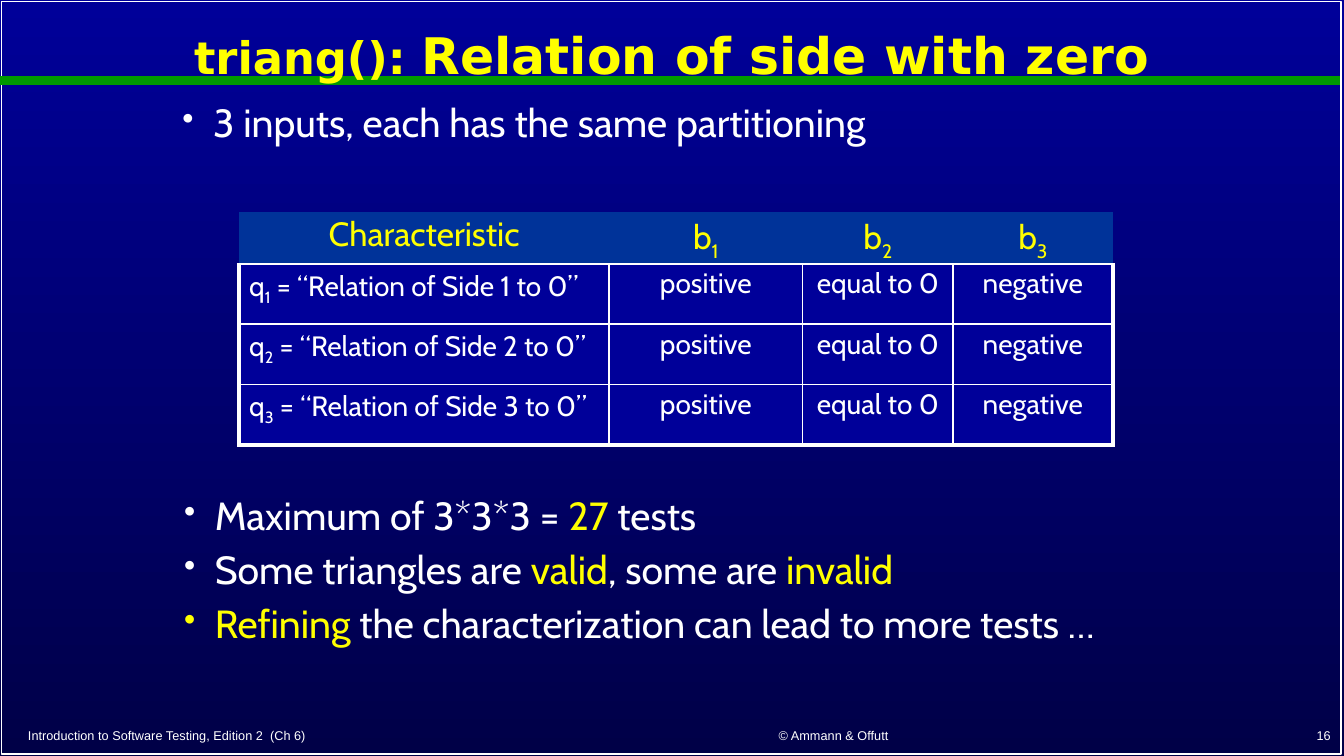
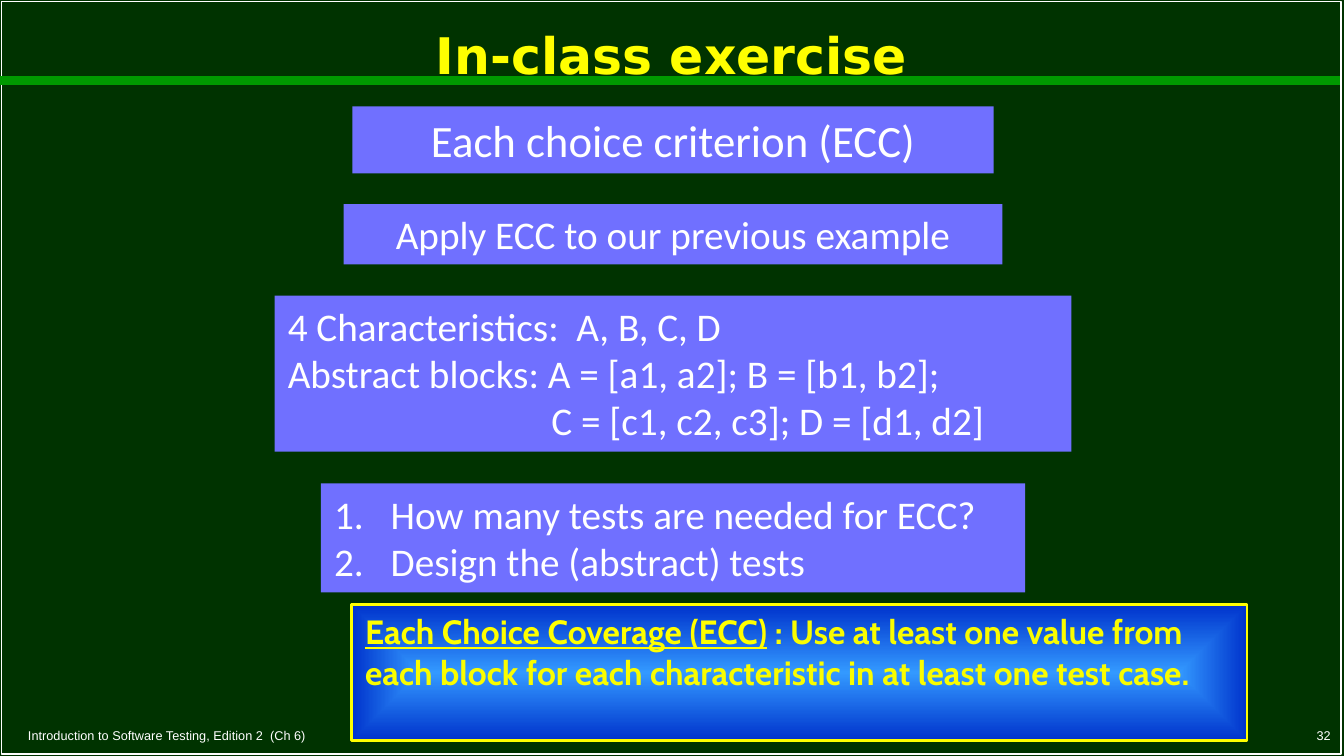
from dataclasses import dataclass, field
from typing import Any

from lxml import etree
from pptx import Presentation
from pptx import util as u
from pptx.dml import color as dml
from pptx.enum import shapes, text
from pptx.oxml import ns

COLORS = {
    "white": "FFFFFF",
    "yellow": "FFFF00",
    "bright_yellow": "FAFD00",
    "navy": "000099",
    "midnight": "000047",
    "forest": "003300",
    "rule": "009900",
    "header": "003399",
    "panel": "7070FF",
    "glow": "3399FF",
    "glow_edge": "0033CC",
}
LEFT, CENTER, RIGHT = text.PP_ALIGN.LEFT, text.PP_ALIGN.CENTER, text.PP_ALIGN.RIGHT
TOP, MIDDLE, BOTTOM = text.MSO_ANCHOR.TOP, text.MSO_ANCHOR.MIDDLE, text.MSO_ANCHOR.BOTTOM
PANEL_CENTER = 12.72


@dataclass
class Run:
    text: str
    color: str = ""
    size: float = 0
    underline: bool = False
    subscript: bool = False


@dataclass
class Style:
    font: str
    size: float
    color: str = "white"
    bold: bool = False
    align: Any = LEFT
    spacing: float = 1.0
    before: float = 0
    indent: float = 0
    bullet: dict[str, dict[str, str]] = field(default_factory=dict)


@dataclass
class Line:
    runs: list[Run]
    margin: float = 0


@dataclass
class Box:
    left: float
    top: float
    width: float
    height: float

    def lengths(self) -> list[u.Length]:
        return [u.Cm(value) for value in (self.left, self.top, self.width, self.height)]


@dataclass
class Panel:
    top: float
    width: float
    height: float
    style: Style
    lines: list[Line]


TITLE = Style("DejaVu Sans", 27, "yellow", True, CENTER, 0.9)
BULLETS = Style("Cabin", 21, spacing=0.9, before=6.3, indent=0.58,
                bullet={"buSzPct": {"val": "85000"}, "buChar": {"char": "•"}})
HEADER = Style("Cabin", 18, "yellow", align=CENTER, spacing=0.9)
QUESTION = Style("Cabin", 15, spacing=0.9)
BLOCK = Style("Cabin", 15, align=CENTER, spacing=0.9)
HEADING = Style("Calibri", 24, align=CENTER)
CENTERED = Style("Calibri", 21, align=CENTER)
PLAIN = Style("Calibri", 21)
NUMBERED = Style("Calibri", 21, indent=1.07,
                 bullet={"buAutoNum": {"type": "arabicPeriod"}})
DEFINITION = Style("Cabin", 18, "yellow", True)


def rgb(name: str) -> dml.RGBColor:
    return dml.RGBColor.from_string(COLORS[name])


def apply_format(target: Any, values: dict[str, Any]) -> None:
    for name, value in values.items():
        setattr(target, name, value)


def add_element(parent: Any, tag: str, **attributes: str) -> Any:
    return etree.SubElement(parent, ns.qn(f"a:{tag}"), attributes)


def plain(*texts: str) -> list[Line]:
    return [Line([Run(item)]) for item in texts]


def write_text(frame: Any, lines: list[Line], style: Style) -> None:
    for index, line in enumerate(lines):
        paragraph = frame.add_paragraph() if index else frame.paragraphs[0]
        apply_format(paragraph, {"alignment": style.align, "line_spacing": style.spacing,
                                 "space_before": u.Pt(style.before if index else 0)})
        properties = paragraph._p.get_or_add_pPr()
        margin = line.margin or style.indent
        properties.set("marL", str(u.Cm(margin)))
        properties.set("indent", str(-u.Cm(style.indent)))
        for tag, attributes in style.bullet.items():
            add_element(properties, tag, **attributes)
        for item in line.runs:
            run = paragraph.add_run()
            run.text = item.text
            apply_format(run.font, {"name": style.font, "size": u.Pt(item.size or style.size),
                                    "bold": style.bold, "underline": item.underline})
            run.font.color.rgb = rgb(item.color or style.color)
            if item.subscript:
                run.font._element.set("baseline", "-25000")


def add_text(slide: Any, box: Box, lines: list[Line], style: Style, anchor: Any = TOP) -> None:
    frame = slide.shapes.add_textbox(*box.lengths()).text_frame
    apply_format(frame, {"word_wrap": True, "vertical_anchor": anchor})
    write_text(frame, lines, style)


def add_rectangle(slide: Any, box: Box, fill: str = "", line: str = "", width: float = 1) -> Any:
    shape = slide.shapes.add_shape(shapes.MSO_SHAPE.RECTANGLE, *box.lengths())
    shape.shadow.inherit = False
    apply_format(shape.text_frame, {"word_wrap": True, "vertical_anchor": TOP})
    if fill:
        shape.fill.solid()
        shape.fill.fore_color.rgb = rgb(fill)
    else:
        shape.fill.background()
    if line:
        shape.line.color.rgb = rgb(line)
        shape.line.width = u.Pt(width)
    else:
        shape.line.fill.background()
    return shape


def set_gradient(fill: Any, start: str, end: str) -> None:
    fill.gradient()
    fill.gradient_angle = 270
    for stop, name, position in zip(fill.gradient_stops, (start, end), (0, 1)):
        stop.color.rgb = rgb(name)
        stop.position = position


def add_footer(slide: Any, box: Box, words: str, align: Any) -> None:
    add_text(slide, box, plain(words), Style("Arial", 6.8, align=align), BOTTOM)


def add_frame(slide: Any, title: list[Run], number: int) -> None:
    add_rectangle(slide, Box(0.03, 0.03, 25.32, 14.22), line="white")
    rule = slide.shapes.add_connector(shapes.MSO_CONNECTOR.STRAIGHT,
                                      0, u.Cm(1.52), u.Cm(25.32), u.Cm(1.52))
    rule.line.color.rgb = rgb("rule")
    rule.line.width = u.Pt(4.5)
    add_element(rule._element.spPr, "effectLst")
    add_text(slide, Box(0.03, 0.2, 25.32, 1.8), [Line(title)], TITLE, MIDDLE)
    add_footer(slide, Box(0.28, 13.67, 10.95, 0.51),
               "Introduction to Software Testing, Edition 2  (Ch 6)", LEFT)
    add_footer(slide, Box(20.12, 13.64, 5.28, 0.53), str(number), RIGHT)


def set_borders(cell: Any, widths: dict[str, float]) -> None:
    properties = cell._tc.get_or_add_tcPr()
    for index, (side, width) in enumerate(widths.items()):
        border = add_element(properties, f"ln{side}", w=str(u.Pt(width)))
        if width:
            add_element(add_element(border, "solidFill"), "srgbClr", val=COLORS["white"])
        else:
            add_element(border, "noFill")
        properties.insert(index, border)


def fill_cell(cell: Any, runs: list[Run], style: Style, fill: str) -> None:
    cell.fill.solid()
    cell.fill.fore_color.rgb = rgb(fill)
    apply_format(cell, {"margin_left": u.Cm(0.19), "margin_right": u.Cm(0.19),
                        "margin_top": u.Cm(0.1), "margin_bottom": u.Cm(0.1)})
    write_text(cell.text_frame, [Line(runs)], style)


def add_partition_table(slide: Any) -> None:
    blocks = ["positive", "equal to 0", "negative"]
    widths = [6.99, 3.66, 2.84, 3.02]
    heights = [0.94] + [1.14] * 3
    box = Box(4.52, 4.01, sum(widths), sum(heights))
    table = slide.shapes.add_table(len(heights), len(widths), *box.lengths()).table
    apply_format(table, {"first_row": False, "horz_banding": False})
    for column, width in zip(table.columns, widths):
        column.width = u.Cm(width)
    for row, height in zip(table.rows, heights):
        row.height = u.Cm(height)
    last = len(blocks)
    for row in range(last + 1):
        for column in range(last + 1):
            cell = table.cell(row, column)
            if row == 0:
                runs = ([Run("b"), Run(str(column), subscript=True)] if column
                        else [Run("Characteristic")])
                fill_cell(cell, runs, HEADER, "header")
                set_borders(cell, {"L": 0, "R": 0, "T": 0, "B": 1})
                continue
            runs = [Run(blocks[column - 1])] if column else [
                Run("q"), Run(str(row), subscript=True),
                Run(f" = “Relation of Side {row} to 0”")]
            fill_cell(cell, runs, BLOCK if column else QUESTION, "navy")
            set_borders(cell, {"L": 1 if column else 2.25,
                               "R": 2.25 if column == last else 1,
                               "T": 1,
                               "B": 2.25 if row == last else 1})


def build_relation_slide(slide: Any) -> None:
    set_gradient(slide.background.fill, "navy", "midnight")
    add_frame(slide, [Run("triang(): ", size=24), Run("Relation of side with zero")], 16)
    add_footer(slide, Box(11.73, 13.67, 8.05, 0.51), "© Ammann & Offutt", CENTER)
    add_text(slide, Box(3.2, 1.83, 18.97, 1.47),
             plain("3 inputs, each has the same partitioning"), BULLETS)
    add_partition_table(slide)
    add_text(slide, Box(3.23, 9.27, 18.97, 3.84), [
        Line([Run("Maximum of 3*3*3 = "), Run("27", "yellow"), Run(" tests")]),
        Line([Run("Some triangles are "), Run("valid", "yellow"),
              Run(", some are "), Run("invalid", "yellow")]),
        Line([Run("Refining", "yellow"),
              Run(" the characterization can lead to more tests …")]),
    ], BULLETS)


def add_definition(slide: Any) -> None:
    shape = add_rectangle(slide, Box(6.65, 11.43, 16.92, 2.57), "glow", "yellow", 1.5)
    set_gradient(shape.fill, "glow", "glow_edge")
    gradient = shape._element.spPr.find(ns.qn("a:gradFill"))
    gradient.remove(gradient.find(ns.qn("a:lin")))
    center = dict.fromkeys("ltrb", "50000")
    add_element(add_element(gradient, "path", path="shape"), "fillToRect", **center)
    write_text(shape.text_frame, [Line([
        Run("Each Choice Coverage (ECC)", underline=True), Run(" : "),
        Run("Use at least one value from each block for each characteristic "
            "in at least one test case.", "bright_yellow"),
    ])], DEFINITION)


def build_exercise_slide(slide: Any) -> None:
    slide.background.fill.solid()
    slide.background.fill.fore_color.rgb = rgb("forest")
    add_frame(slide, [Run("In-class exercise")], 32)
    characteristics = plain("4 Characteristics:  A, B, C, D",
                            "Abstract blocks: A = [a1, a2]; B = [b1, b2];")
    characteristics.append(Line([Run("C = [c1, c2, c3]; D = [d1, d2]")], 4.98))
    panels = [
        Panel(2.01, 12.12, 1.27, HEADING, plain("Each choice criterion (ECC)")),
        Panel(3.86, 12.45, 1.14, CENTERED, plain("Apply ECC to our previous example")),
        Panel(5.59, 15.06, 2.95, PLAIN, characteristics),
        Panel(9.14, 13.31, 2.06, NUMBERED,
              plain("How many tests are needed for ECC?", "Design the (abstract) tests")),
    ]
    for panel in panels:
        box = Box(PANEL_CENTER - panel.width / 2, panel.top, panel.width, panel.height)
        shape = add_rectangle(slide, box, "panel")
        write_text(shape.text_frame, panel.lines, panel.style)
    add_definition(slide)


def main() -> None:
    presentation = Presentation()
    apply_format(presentation, {"slide_width": u.Cm(25.4), "slide_height": u.Cm(14.29)})
    for build in (build_relation_slide, build_exercise_slide):
        build(presentation.slides.add_slide(presentation.slide_layouts[6]))
    presentation.save("out.pptx")


if __name__ == "__main__":
    main()
